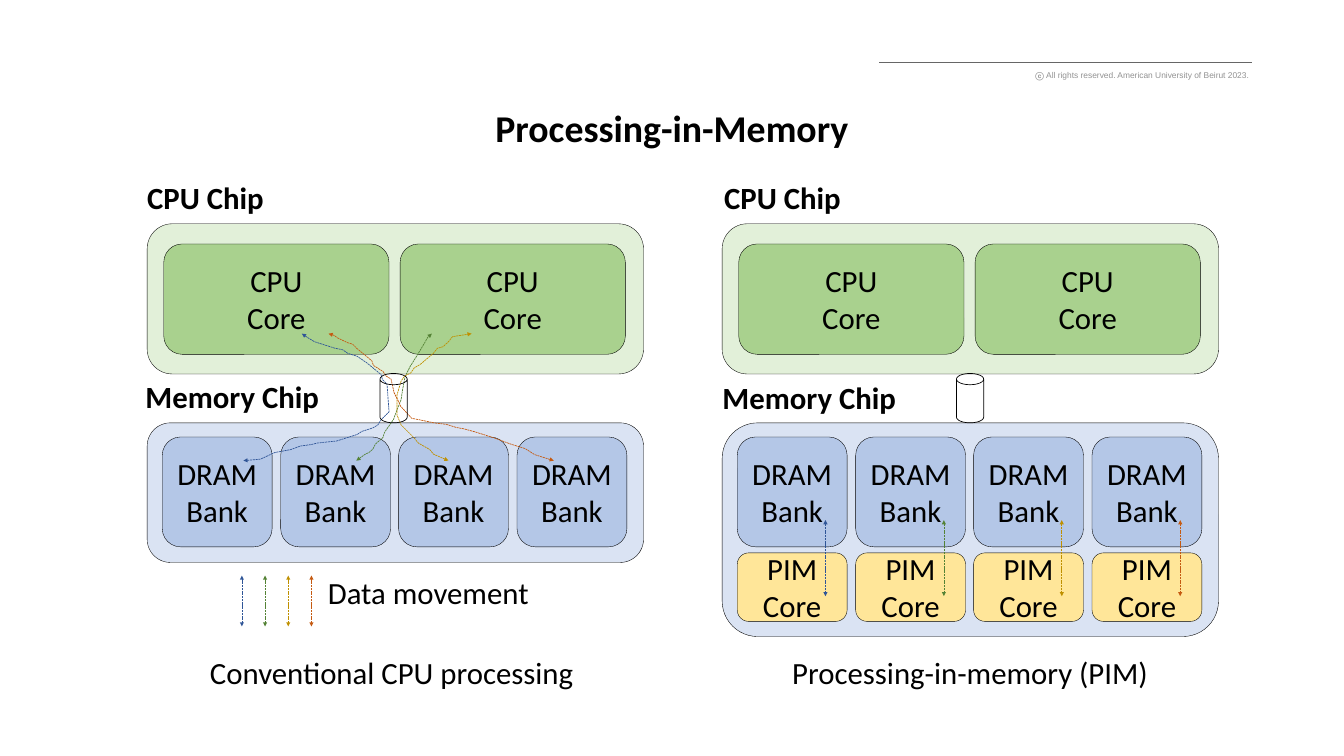
import dataclasses
import typing

import lxml.etree
import pptx
import pptx.dml.color
import pptx.enum.dml
import pptx.enum.shapes
import pptx.enum.text
import pptx.oxml.ns
import pptx.util

PX = 9144
SHAPES = pptx.enum.shapes.MSO_SHAPE
ALIGN = pptx.enum.text.PP_ALIGN
Points = list[tuple[int, int]]


@dataclasses.dataclass(frozen=True)
class Theme:
    black: str = "000000"
    gray: str = "929292"
    rule: str = "666666"
    cpu_chip: str = "E2F0D9"
    cpu_core: str = "A9D18E"
    memory_chip: str = "DAE3F3"
    bank: str = "B4C7E7"
    pim_core: str = "FFE699"
    flows: tuple[str, ...] = ("2F5597", "548235", "BF9000", "C55A11")
    font: str = "Calibri"
    notice_font: str = "Arial"
    title_size: int = 54
    text_size: int = 44
    notice_size: int = 12


@dataclasses.dataclass(frozen=True)
class Panel:
    left: int
    label_left: int
    memory_label_top: int
    memory_height: int
    bus_left: int
    caption: str
    caption_left: int
    caption_width: int
    has_pim: bool


THEME = Theme()
PANELS = (
    Panel(292, 281, 745, 277, 754, "Conventional CPU processing", 401, 753, False),
    Panel(1433, 1426, 746, 424, 1898, "Processing-in-memory (PIM)", 1558, 735, True),
)
ROUTES: tuple[Points, ...] = (
    [(483, 914), (517, 911), (545, 898), (577, 892), (596, 885), (618, 882),
     (630, 879), (668, 875), (687, 869), (709, 862), (718, 856), (740, 849),
     (750, 843), (756, 833), (772, 817), (768, 762), (759, 753), (756, 743),
     (728, 720), (709, 707), (690, 701), (680, 694), (665, 691), (646, 685),
     (624, 678), (614, 672), (599, 662)],
    [(707, 914), (725, 901), (732, 898), (740, 891), (745, 881), (760, 868),
     (763, 858), (781, 832), (788, 813), (796, 793), (799, 773), (804, 747),
     (814, 727), (826, 708), (844, 678), (849, 669), (857, 662)],
    [(890, 914), (860, 901), (853, 892), (830, 879), (822, 869), (796, 843),
     (788, 824), (788, 783), (796, 756), (803, 746), (815, 740), (822, 730),
     (834, 723), (860, 701), (868, 691), (879, 688), (890, 678), (898, 668),
     (936, 662)],
    [(1099, 914), (1061, 902), (1042, 890), (1013, 881), (981, 869), (962, 863),
     (943, 857), (921, 851), (905, 848), (886, 842), (861, 839), (833, 833),
     (817, 830), (795, 806), (791, 797), (782, 779), (776, 752), (766, 746),
     (760, 737), (741, 725), (738, 716), (709, 692), (700, 683), (690, 680),
     (671, 671), (662, 665), (652, 662)],
)


def rgb(color: str) -> pptx.dml.color.RGBColor:
    """Turn a hex string into a colour."""
    return pptx.dml.color.RGBColor.from_string(color)


def box(left: int, top: int, width: int, height: int) -> tuple[int, ...]:
    """Scale a px rectangle to EMU."""
    return tuple(length * PX for length in (left, top, width, height))


def write(paragraph: typing.Any, text: str, size: int = THEME.text_size, bold: bool = False,
          color: str = THEME.black, font: str = THEME.font, align: typing.Any = ALIGN.CENTER) -> None:
    """Add one formatted run to a paragraph."""
    paragraph.alignment = align
    run = paragraph.add_run()
    run.text = text
    run.font.name = font
    run.font.size = pptx.util.Pt(size)
    run.font.bold = bold
    run.font.color.rgb = rgb(color)


def set_margins(frame: typing.Any, margin: int) -> None:
    """Give all four sides of a text frame one margin."""
    frame.margin_left = frame.margin_right = margin * PX
    frame.margin_top = frame.margin_bottom = margin * PX


def add_label(slide: typing.Any, text: str, left: int, top: int, width: int, bold: bool = False) -> None:
    """Add a single-line label."""
    frame = slide.shapes.add_textbox(*box(left, top, width, 84)).text_frame
    frame.word_wrap = False
    frame.auto_size = pptx.enum.text.MSO_AUTO_SIZE.SHAPE_TO_FIT_TEXT
    write(frame.paragraphs[0], text, bold=bold)


def add_block(slide: typing.Any, left: int, top: int, width: int, height: int,
              color: str, lines: tuple[str, ...] = ()) -> None:
    """Add a rounded block with centred lines of text."""
    block = slide.shapes.add_shape(SHAPES.ROUNDED_RECTANGLE, *box(left, top, width, height))
    block.shadow.inherit = False
    block.fill.solid()
    block.fill.fore_color.rgb = rgb(color)
    block.line.color.rgb = rgb(THEME.black)
    block.line.width = pptx.util.Pt(0.5)
    frame = block.text_frame
    frame.word_wrap = True
    frame.vertical_anchor = pptx.enum.text.MSO_ANCHOR.MIDDLE
    set_margins(frame, 0)
    for index, text in enumerate(lines):
        write(frame.add_paragraph() if index else frame.paragraphs[0], text)


def add_bus(slide: typing.Any, left: int) -> None:
    """Add the open cylinder that links the two chips."""
    bus = slide.shapes.add_shape(SHAPES.CAN, *box(left, 741, 54, 98))
    bus.adjustments[0] = 0.414
    bus.shadow.inherit = False
    bus.fill.background()
    bus.line.color.rgb = rgb(THEME.black)
    bus.line.width = pptx.util.Pt(1)


def style_flow(flow: typing.Any, color: str) -> None:
    """Make a line a dashed double-headed arrow."""
    flow.line.color.rgb = rgb(color)
    flow.line.width = pptx.util.Pt(1)
    flow.line.dash_style = pptx.enum.dml.MSO_LINE.SQUARE_DOT
    outline = flow._element.spPr.find(pptx.oxml.ns.qn("a:ln"))
    for end in ("a:headEnd", "a:tailEnd"):
        lxml.etree.SubElement(outline, pptx.oxml.ns.qn(end), type="triangle")


def add_line(slide: typing.Any, start: tuple[int, int], end: tuple[int, int],
             color: str, width: float) -> typing.Any:
    """Add a straight line without a shadow."""
    line = slide.shapes.add_connector(pptx.enum.shapes.MSO_CONNECTOR.STRAIGHT,
                                      *(length * PX for length in start + end))
    line.line.color.rgb = rgb(color)
    line.line.width = pptx.util.Pt(width)
    lxml.etree.SubElement(line._element.spPr, pptx.oxml.ns.qn("a:effectLst"))
    return line


def add_flow(slide: typing.Any, x: int, top: int, bottom: int, color: str) -> None:
    """Add a vertical data-movement arrow."""
    style_flow(add_line(slide, (x, top), (x, bottom), color, 1), color)


def add_route(slide: typing.Any, points: Points, color: str) -> None:
    """Add a winding data-movement arrow."""
    builder = slide.shapes.build_freeform(*points[0], scale=PX)
    builder.add_line_segments(points[1:], close=False)
    route = builder.convert_to_shape()
    route.shadow.inherit = False
    route.fill.background()
    style_flow(route, color)


def add_panel(slide: typing.Any, panel: Panel) -> None:
    """Draw one CPU chip above its memory chip."""
    add_block(slide, panel.left, 444, 985, 298, THEME.cpu_chip)
    for column in range(2):
        add_block(slide, panel.left + 33 + 469 * column, 484, 447, 219, THEME.cpu_core, ("CPU", "Core"))
    add_block(slide, panel.left, 839, 985, panel.memory_height, THEME.memory_chip)
    for column, color in enumerate(THEME.flows):
        left = panel.left + 30 + round(column * 704 / 3)
        add_block(slide, left, 867, 218, 218, THEME.bank, ("DRAM Bank",))
        if panel.has_pim:
            add_block(slide, left, 1097, 218, 136, THEME.pim_core, ("PIM Core",))
            add_flow(slide, left + 175, 1032, 1183, color)
    add_label(slide, "CPU Chip", panel.label_left, 349, 254, True)
    add_label(slide, "Memory Chip", panel.label_left - 4, panel.memory_label_top, 368, True)
    add_label(slide, panel.caption, panel.caption_left, 1292, panel.caption_width)


def add_heading(slide: typing.Any) -> None:
    """Fill the title and the copyright line with its rule."""
    title = slide.shapes.title
    title.left, title.top, title.width, title.height = box(23, 208, 2621, 99)
    title.text_frame.vertical_anchor = pptx.enum.text.MSO_ANCHOR.MIDDLE
    heading = title.text_frame.paragraphs[0]
    heading.line_spacing = 0.9
    write(heading, "Processing-in-Memory", THEME.title_size, True)
    add_line(slide, (1745, 124), (2484, 124), THEME.rule, 2)
    frame = slide.shapes.add_textbox(*box(2041, 134, 444, 31)).text_frame
    frame.word_wrap = False
    frame.auto_size = pptx.enum.text.MSO_AUTO_SIZE.SHAPE_TO_FIT_TEXT
    set_margins(frame, 6)
    for text, bold in (("ⓒ ", True), ("All rights reserved. American University of Beirut 2023.", False)):
        write(frame.paragraphs[0], text, THEME.notice_size, bold, THEME.gray, THEME.notice_font, ALIGN.RIGHT)


def main() -> None:
    """Build the slide and save it."""
    deck = pptx.Presentation()
    deck.slide_width, deck.slide_height = 2667 * PX, 1500 * PX
    slide = deck.slides.add_slide(deck.slide_layouts[5])
    add_heading(slide)
    for panel in PANELS:
        add_panel(slide, panel)
    for index, (points, color) in enumerate(zip(ROUTES, THEME.flows)):
        add_route(slide, points, color)
        add_flow(slide, 480 + 46 * index, 1142, 1243, color)
    add_label(slide, "Data movement", 637, 1133, 426)
    for panel in PANELS:
        add_bus(slide, panel.bus_left)
    deck.save("out.pptx")


if __name__ == "__main__":
    main()
